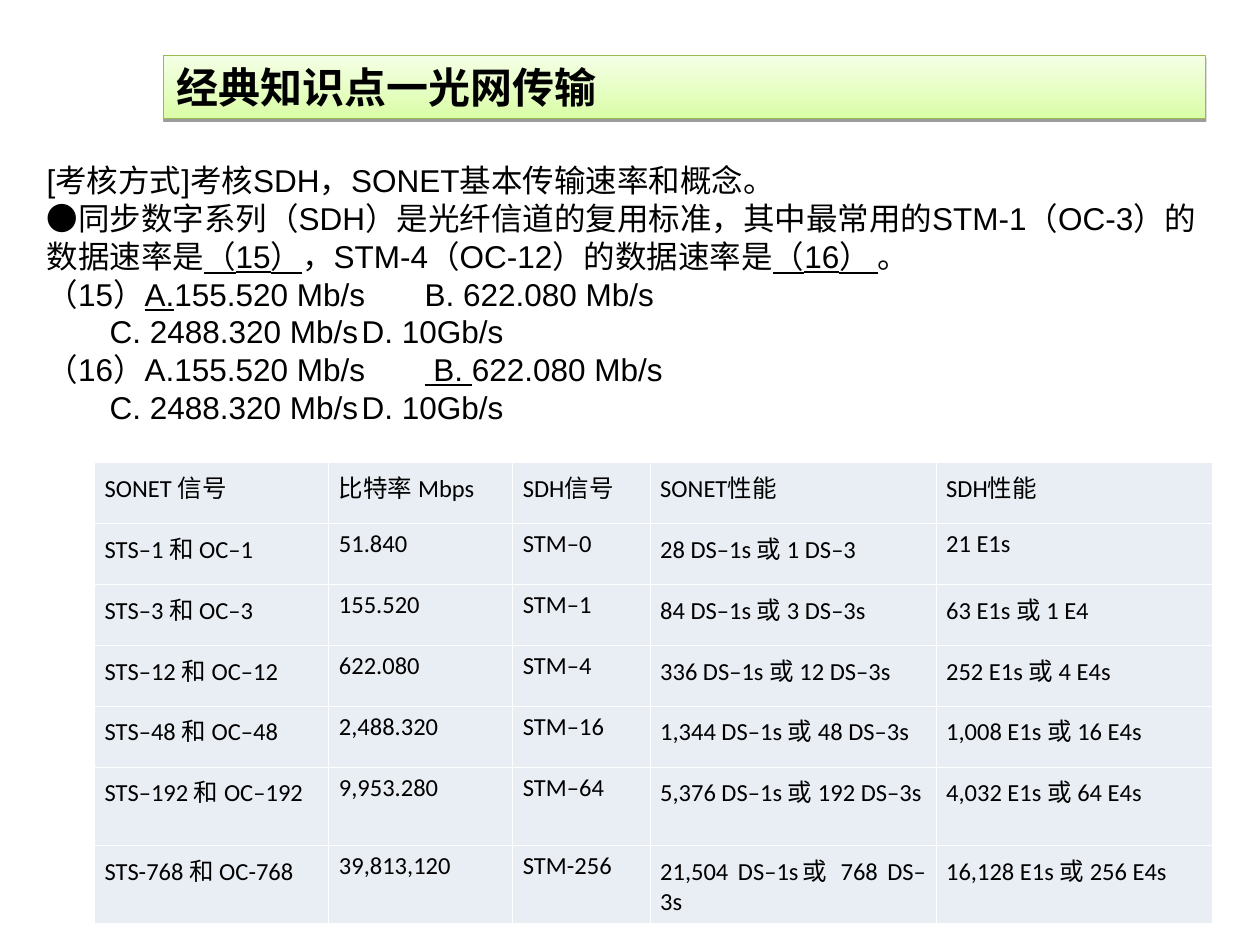
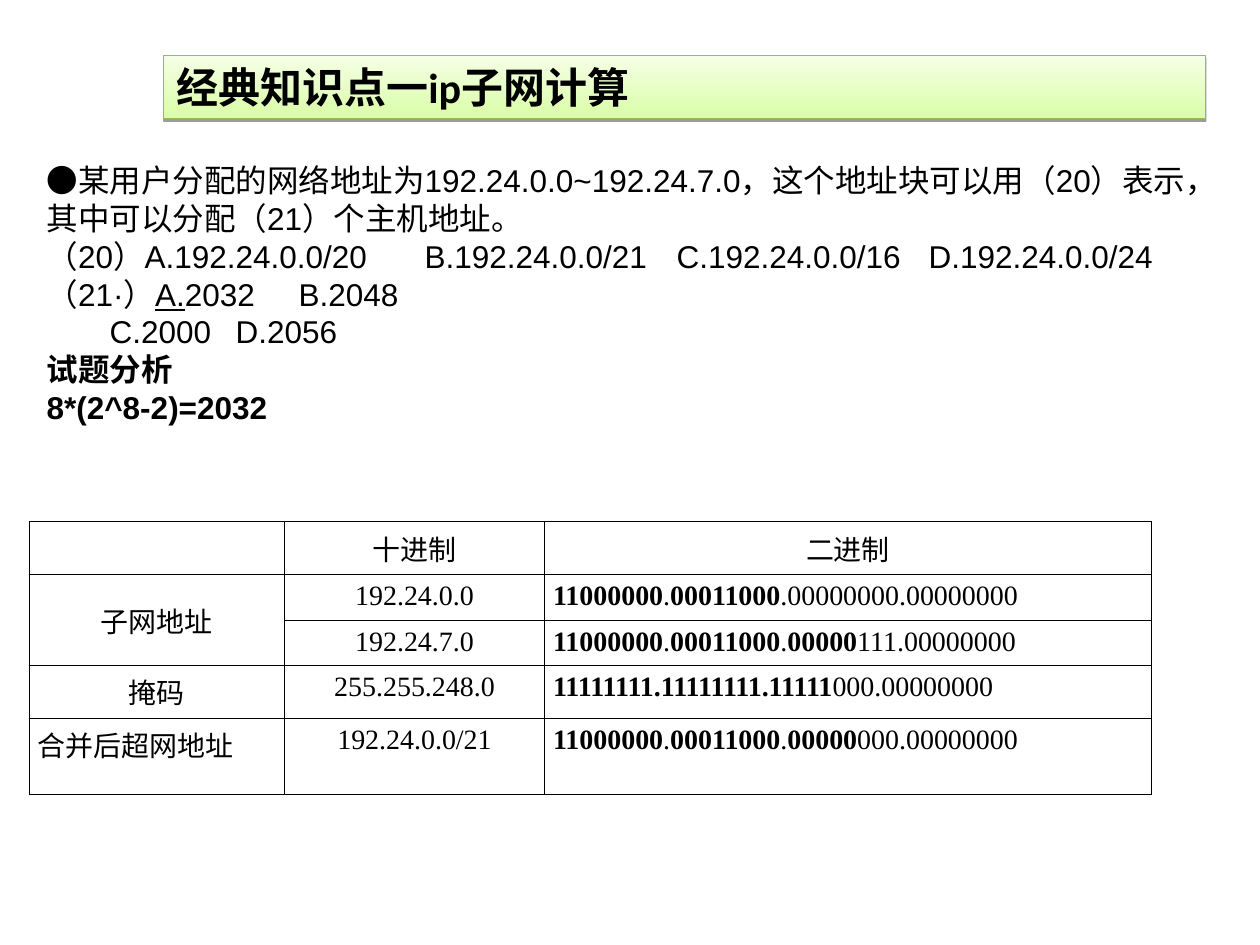
from lxml import etree
from pptx import Presentation
from pptx import util as u
from pptx.dml.color import RGBColor
from pptx.enum import text
from pptx.oxml import ns

BLACK = RGBColor(0x00, 0x00, 0x00)
WHITE = RGBColor(0xFF, 0xFF, 0xFF)
PALE_BLUE = RGBColor(0xE9, 0xED, 0xF4)
LIME = RGBColor(0xDA, 0xFD, 0xA7)
PALE_LIME = RGBColor(0xF5, 0xFF, 0xE6)
GREEN = RGBColor(0x98, 0xB9, 0x54)
ALIGN = {"l": text.PP_ALIGN.LEFT, "c": text.PP_ALIGN.CENTER, "j": text.PP_ALIGN.JUSTIFY}

prs = Presentation()
prs.slide_width, prs.slide_height = u.Inches(10), u.Inches(7.5)
X, Y = prs.slide_width // 100, prs.slide_height // 100


def write(p, marked, font, size, align="l", mark="underline"):
    p.alignment = ALIGN[align]
    for i, part in enumerate(marked.split("|")):
        if part:
            r = p.add_run()
            r.text = part
            r.font.name, r.font.size = font, u.Pt(size)
            r.font.color.rgb = BLACK
            if i % 2:
                setattr(r.font, mark, True)


def add_grid(slide, left, top, widths, heights, rows, aligns, font, size, inset, fill, border):
    tbl = slide.shapes.add_table(len(rows), len(widths), int(left * X), int(top * Y),
                                 int(sum(widths) * X), int(sum(heights) * Y)).table
    tbl.first_row = tbl.horz_banding = False
    for col, w in zip(tbl.columns, widths):
        col.width = int(w * X)
    for row, h in zip(tbl.rows, heights):
        row.height = int(h * Y)
    for i, row in enumerate(rows):
        for j, marked in enumerate(row):
            cell = tbl.cell(i, j)
            cell.margin_left = cell.margin_right = u.Inches(inset)
            write(cell.text_frame.paragraphs[0], marked, font, size, aligns[i][j], "bold")
            if fill is None:
                cell.fill.background()
            else:
                cell.fill.solid()
                cell.fill.fore_color.rgb = fill
            tcPr = cell._tc.get_or_add_tcPr()
            for k, side in enumerate(("lnL", "lnR", "lnT", "lnB")):
                ln = etree.Element(ns.qn(f"a:{side}"), w=str(u.Pt(0.45)))
                solid = etree.SubElement(ln, ns.qn("a:solidFill"))
                etree.SubElement(solid, ns.qn("a:srgbClr"), val=str(border))
                tcPr.insert(k, ln)
    return tbl


pages = [
    ("经典知识点一光网传输", "underline", [
        ("[考核方式]考核SDH，SONET基本传输速率和概念。", []),
        ("●同步数字系列（SDH）是光纤信道的复用标准，其中最常用的STM-1（OC-3）的数据速率是"
         "|（15）|，STM-4（OC-12）的数据速率是|（16） |。", []),
        ("（15）|A.|155.520 Mb/s\tB. 622.080 Mb/s", [3.34]),
        ("\tC. 2488.320 Mb/s\tD. 10Gb/s", [0.69, 3.02]),
        ("（16）A.155.520 Mb/s\t| B. |622.080 Mb/s", [3.2]),
        ("\tC. 2488.320 Mb/s\tD. 10Gb/s", [0.63, 2.95]),
    ]),
    ("经典知识点一ip子网计算", "underline", [
        ("●某用户分配的网络地址为192.24.0.0~192.24.7.0，这个地址块可以用（20）表示，"
         "其中可以分配（21）个主机地址。", []),
        ("（20）A.192.24.0.0/20\tB.192.24.0.0/21\tC.192.24.0.0/16\tD.192.24.0.0/24", [3, 5, 7]),
        ("（21·）|A.|2032\tB.2048", [4]),
        ("\tC.2000\tD.2056", [1, 4]),
        ("|试题分析|", []),
        ("|8*(2^8-2)=2032|", []),
    ]),
]

slides = []
for title, mark, lines in pages:
    s = prs.slides.add_slide(prs.slide_layouts[1])
    slides.append(s)
    sp, body = s.shapes.title, s.placeholders[1]
    sp.left, sp.top, sp.width, sp.height = [int(v) for v in (13 * X, 5.87 * Y, 82.7 * X, 6.67 * Y)]
    body.left, body.top, body.width, body.height = [
        int(v) for v in (2.7 * X, 16.4 * Y, 93.7 * X, 29.33 * Y)]

    sp.fill.gradient()
    sp.fill.gradient_angle = 90
    for stop, color in zip(sp.fill.gradient_stops, (LIME, PALE_LIME)):
        stop.color.rgb = color
    sp.line.color.rgb, sp.line.width = GREEN, u.Pt(0.75)
    sp.shadow.inherit = False
    effects = sp._element.spPr.find(ns.qn("a:effectLst"))
    shadow = etree.SubElement(effects, ns.qn("a:outerShdw"), blurRad="0",
                              dist=str(u.Pt(1.6)), dir="5400000", rotWithShape="0")
    shade = etree.SubElement(shadow, ns.qn("a:srgbClr"), val=str(BLACK))
    etree.SubElement(shade, ns.qn("a:alpha"), val="38000")

    for shape in (sp, body):
        tf = shape.text_frame
        tf.word_wrap, tf.auto_size = True, text.MSO_AUTO_SIZE.NONE
        tf.vertical_anchor = text.MSO_ANCHOR.TOP
    write(sp.text_frame.paragraphs[0], f"|{title}|", "Calibri", 24, mark="bold")

    tf = body.text_frame
    for i, (line, stops) in enumerate(lines):
        p = tf.paragraphs[0] if i == 0 else tf.add_paragraph()
        pPr = p._p.get_or_add_pPr()
        pPr.set("marL", "0")
        pPr.set("indent", "0")
        etree.SubElement(pPr, ns.qn("a:buNone"))
        if stops:
            tabs = etree.SubElement(pPr, ns.qn("a:tabLst"))
            for stop in stops:
                etree.SubElement(tabs, ns.qn("a:tab"), pos=str(u.Inches(stop)), algn="l")
        p.space_before = u.Pt(0)
        write(p, line, "Arial", 18, mark="bold" if line.startswith("|") else mark)

rates = [
    ("SONET 信号", "比特率 Mbps", "SDH信号", "SONET性能", "SDH性能"),
    ("STS–1 和 OC–1", "51.840", "STM–0", "28 DS–1s 或 1 DS–3", "21 E1s"),
    ("STS–3 和 OC–3", "155.520", "STM–1", "84 DS–1s 或 3 DS–3s", "63 E1s 或 1 E4"),
    ("STS–12 和 OC–12", "622.080", "STM–4", "336 DS–1s 或 12 DS–3s", "252 E1s 或 4 E4s"),
    ("STS–48 和 OC–48", "2,488.320", "STM–16", "1,344 DS–1s 或 48 DS–3s", "1,008 E1s 或 16 E4s"),
    ("STS–192 和 OC–192", "9,953.280", "STM–64", "5,376 DS–1s 或 192 DS–3s", "4,032 E1s 或 64 E4s"),
    ("STS-768 和 OC-768", "39,813,120", "STM-256", "21,504 DS–1s或 768 DS–3s", "16,128 E1s 或 256 E4s"),
]
add_grid(slides[0], 7.5, 48.93, [18.6, 14.6, 10.9, 22.7, 21.9], [6.45] * 7, rates,
         ["jjjjj"] * 7, "Calibri", 14, 0.08, PALE_BLUE, WHITE)

subnets = [
    ("", "十进制", "二进制"),
    ("子网地址", "192.24.0.0", "|11000000|.|00011000|.00000000.00000000"),
    ("", "192.24.7.0", "|11000000|.|00011000|.|00000|111.00000000"),
    ("掩码", "255.255.248.0", "|11111111.11111111.11111|000.00000000"),
    ("合并后超网地址", "192.24.0.0/21", "|11000000|.|00011000|.|00000|000.00000000"),
]
tbl = add_grid(slides[1], 2.3, 55.2, [20.3, 20.6, 48.2], [4.8, 4.8, 4.8, 4.8, 8], subnets,
               ["ccc", "ccj", "ccj", "ccj", "jcj"], "Times New Roman", 16, 0.07, None, BLACK)
tbl.cell(1, 0).merge(tbl.cell(2, 0))
tbl.cell(1, 0).vertical_anchor = text.MSO_ANCHOR.MIDDLE

prs.save("out.pptx")
